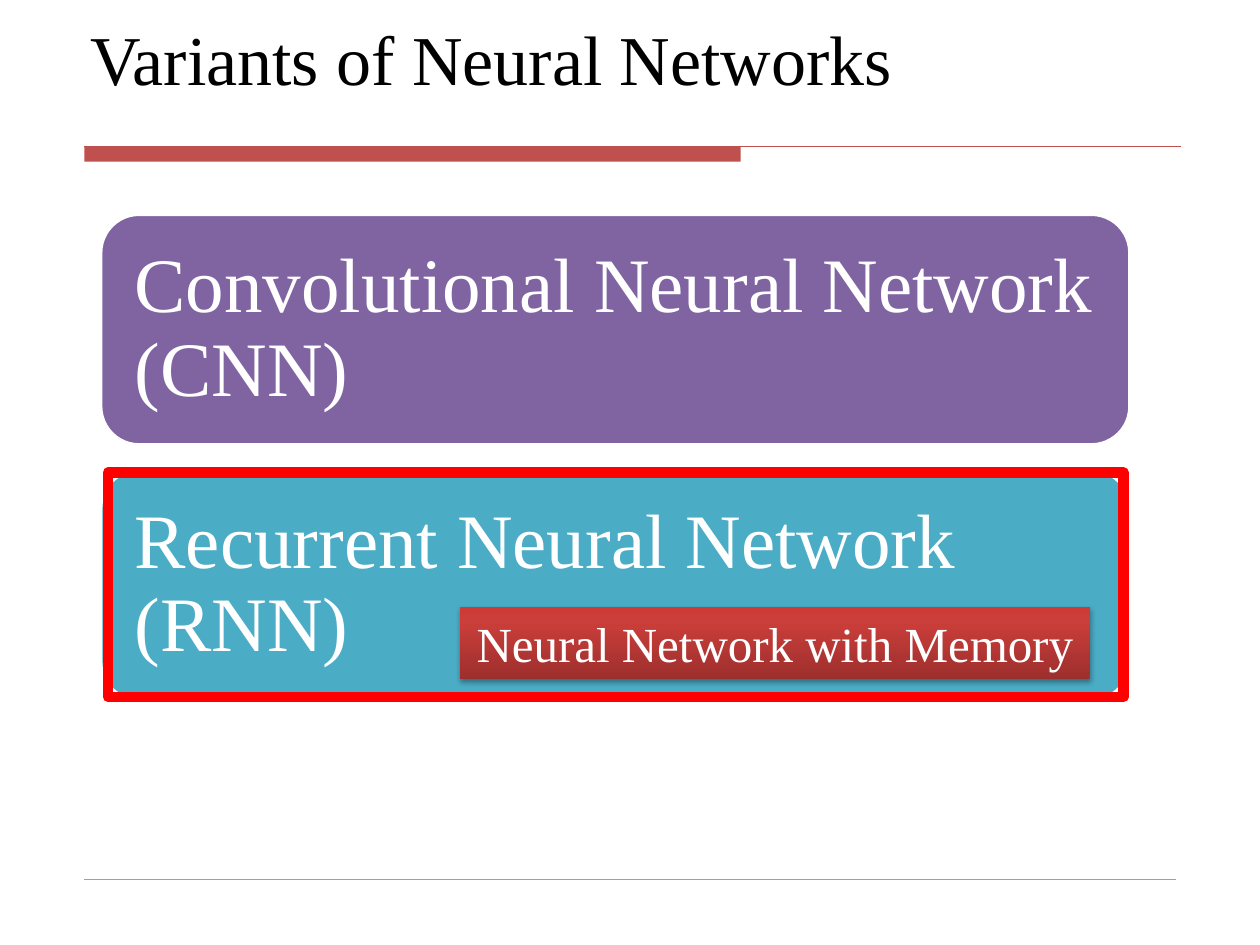
import lxml.etree
import pptx
import pptx.dml.color
import pptx.enum.shapes
import pptx.enum.text
import pptx.oxml
import pptx.oxml.ns
import pptx.util
from pptx.util import Cm

SHAPES = pptx.enum.shapes.MSO_SHAPE
ANCHORS = pptx.enum.text.MSO_ANCHOR
ALIGNMENTS = pptx.enum.text.PP_ALIGN
NAMESPACE = 'xmlns:a="http://schemas.openxmlformats.org/drawingml/2006/main"'
RED, WHITE = "C0504D", "FFFFFF"


def color(value):
    """Turn a hex string into a colour."""
    return pptx.dml.color.RGBColor.from_string(value)


def set_attributes(target, values):
    """Set every attribute named in a dict of format values."""
    for name, value in values.items():
        setattr(target, name, value)


def set_line(shape, line_color, width):
    """Give a shape or connector a plain line."""
    shape.line.color.rgb = color(line_color)
    shape.line.width = pptx.util.Pt(width)


def write_text(shape, text, size, text_color, frame_format, paragraph_format):
    """Write one formatted paragraph into a shape."""
    frame = shape.text_frame
    set_attributes(frame, {"word_wrap": True, **frame_format})
    paragraph = frame.paragraphs[0]
    paragraph.text = text
    set_attributes(paragraph, {"alignment": ALIGNMENTS.LEFT, **paragraph_format})
    font = paragraph.runs[0].font
    set_attributes(font, {"name": "Times New Roman", "size": pptx.util.Pt(size)})
    font.color.rgb = color(text_color)


def add_box(slide, kind, bounds, fill=None, line=None):
    """Add a preset shape with an optional fill and line."""
    shape = slide.shapes.add_shape(kind, *map(Cm, bounds))
    shape.shadow.inherit = False
    if fill:
        shape.fill.solid()
        shape.fill.fore_color.rgb = color(fill)
    else:
        shape.fill.background()
    if line:
        set_line(shape, *line)
    else:
        shape.line.fill.background()
    return shape


def add_rule(slide, left, right, top, line_color, width):
    """Add a horizontal line without a shadow."""
    rule = slide.shapes.add_connector(
        pptx.enum.shapes.MSO_CONNECTOR.STRAIGHT, Cm(left), Cm(top), Cm(right), Cm(top))
    set_line(rule, line_color, width)
    lxml.etree.SubElement(rule._element.spPr, pptx.oxml.ns.qn("a:effectLst"))


def add_title(slide, text):
    """Add the slide title, set on the bottom of its box."""
    title = slide.shapes.add_textbox(Cm(1.57), Cm(0.53), Cm(22.33), Cm(1.6))
    write_text(title, text, 40, "000000", {"vertical_anchor": ANCHORS.BOTTOM}, {})


def add_network_card(slide, top, text, fill):
    """Add a rounded card that names a kind of network."""
    card = add_box(slide, SHAPES.ROUNDED_RECTANGLE, (2.03, top, 20.75, 4.65), fill, (WHITE, 2))
    frame_format = {"vertical_anchor": ANCHORS.MIDDLE, "margin_left": Cm(0.46),
                    "margin_right": Cm(0.3), "margin_top": Cm(0.46), "margin_bottom": Cm(0.46)}
    write_text(card, text, 44, WHITE, frame_format, {"line_spacing": 0.9})


def add_gradient_label(slide, text):
    """Add the label with a red gradient and a soft shadow."""
    label = add_box(slide, SHAPES.RECTANGLE, (9.27, 12.24, 12.7, 1.45))
    properties = label._element.spPr
    stops = "".join(
        f'<a:gs pos="{position}000"><a:srgbClr val="{value}"/></a:gs>'
        for position, value in ((0, "9C2F2D"), (80, "CB3E3A"), (100, "CE3B37")))
    gradient = pptx.oxml.parse_xml(
        f'<a:gradFill {NAMESPACE} rotWithShape="1"><a:gsLst>{stops}</a:gsLst>'
        '<a:lin ang="16200000" scaled="0"/></a:gradFill>')
    properties.replace(properties.find(pptx.oxml.ns.qn("a:noFill")), gradient)
    shadow = pptx.oxml.parse_xml(
        f'<a:outerShdw {NAMESPACE} blurRad="39370" dist="22860" dir="5400000" rotWithShape="0">'
        '<a:srgbClr val="000000"><a:alpha val="35000"/></a:srgbClr></a:outerShdw>')
    properties.find(pptx.oxml.ns.qn("a:effectLst")).append(shadow)
    write_text(label, text, 28, WHITE, {"vertical_anchor": ANCHORS.TOP},
               {"alignment": ALIGNMENTS.CENTER})


def main():
    """Build the slide and save it."""
    presentation = pptx.Presentation()
    set_attributes(presentation, {"slide_width": Cm(25.4), "slide_height": Cm(19.05)})
    slide = presentation.slides.add_slide(presentation.slide_layouts[6])
    add_box(slide, SHAPES.RECTANGLE, (1.7, 2.96, 13.23, 0.3), RED)
    add_rule(slide, 1.7, 23.8, 2.96, RED, 0.75)
    add_rule(slide, 1.7, 23.7, 17.73, "A0A0A0", 0.25)
    add_title(slide, "Variants of Neural Networks")
    add_network_card(slide, 4.32, "Convolutional Neural Network (CNN)", "8064A2")
    add_network_card(slide, 9.47, "Recurrent Neural Network (RNN)", "4BACC6")
    add_box(slide, SHAPES.RECTANGLE, (2.18, 9.53, 20.47, 4.52), line=("FF0000", 6))
    add_gradient_label(slide, "Neural Network with Memory")
    presentation.save("out.pptx")


if __name__ == "__main__":
    main()
